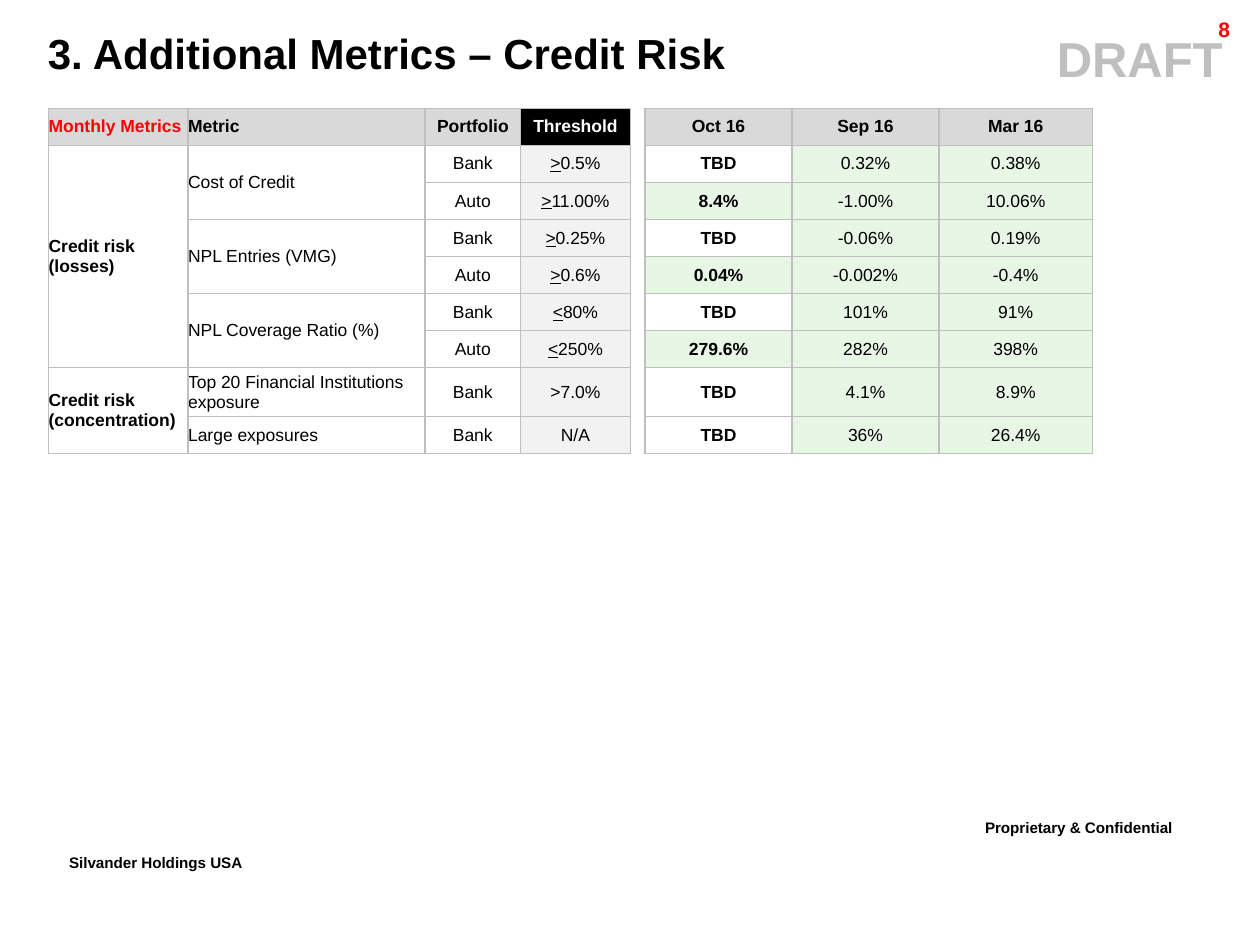
from dataclasses import dataclass, field
from itertools import product
from typing import Any

from lxml.etree import SubElement
from pptx import Presentation
from pptx.dml.color import RGBColor
from pptx.enum.text import MSO_ANCHOR, MSO_AUTO_SIZE, PP_ALIGN
from pptx.oxml.ns import qn
from pptx.util import Pt


@dataclass(frozen=True)
class Theme:
    font: str = "Arial"
    black: str = "000000"
    white: str = "FFFFFF"
    red: str = "FF0000"
    rule: str = "BFBFBF"
    header: str = "D9D9D9"
    threshold: str = "F2F2F2"
    within_limit: str = "E8F6E6"
    title_size: float = 24
    stamp_size: float = 28
    footer_size: float = 15
    number_size: float = 12
    table_size: float = 10
    rule_width: float = 1


THEME = Theme()


@dataclass(frozen=True)
class Label:
    text: str
    left: float
    top: float
    width: float
    height: float
    size: float
    color: str = THEME.black
    raised: bool = False
    indent: float = 0
    frame: dict[str, Any] = field(default_factory=dict)
    paragraph: dict[str, Any] = field(default_factory=dict)


@dataclass(frozen=True)
class Metric:
    """One table row; bound is the underlined sign before the limit."""
    portfolio: str
    bound: str
    limit: str
    results: tuple[str, str, str]


@dataclass(frozen=True)
class RowLabel:
    text: str
    column: int
    first_row: int
    row_count: int


NO_STYLE = "{2D5ABB26-0587-4C30-8999-92F81FD0307C}"
GAP_COLUMN = 4
COLUMN_WIDTHS = (79.7, 135.5, 54.4, 62.8, 8.4, 84, 84, 87.7)
ROW_HEIGHTS = (21.2,) * 7 + (28, 21.2)
HEADERS = ("Monthly Metrics", "Metric", "Portfolio", "Threshold", "",
           "Oct 16", "Sep 16", "Mar 16")

LABELS = (
    Label("Proprietary & Confidential", 555.8, 462.2, 157, 25.2, THEME.footer_size, raised=True),
    Label("Silvander Holdings USA", 32.4, 482.4, 137.5, 25.2, THEME.footer_size,
          raised=True, frame={"word_wrap": False}),
    Label("DRAFT", 82.8, 13, 632.9, 41, THEME.stamp_size, THEME.rule, indent=504,
          paragraph={"alignment": PP_ALIGN.CENTER}),
    Label("8", 641.5, 7.9, 68.4, 17.3, THEME.number_size, THEME.red,
          frame={"auto_size": MSO_AUTO_SIZE.NONE},
          paragraph={"alignment": PP_ALIGN.RIGHT, "line_spacing": 0.86}),
    Label("3. Additional Metrics – Credit Risk", 20.2, 12.2, 673.2, 36, THEME.title_size),
)

METRICS = (
    Metric("Bank", ">", "0.5%", ("TBD", "0.32%", "0.38%")),
    Metric("Auto", ">", "11.00%", ("8.4%", "-1.00%", "10.06%")),
    Metric("Bank", ">", "0.25%", ("TBD", "-0.06%", "0.19%")),
    Metric("Auto", ">", "0.6%", ("0.04%", "-0.002%", "-0.4%")),
    Metric("Bank", "<", "80%", ("TBD", "101%", "91%")),
    Metric("Auto", "<", "250%", ("279.6%", "282%", "398%")),
    Metric("Bank", "", ">7.0%", ("TBD", "4.1%", "8.9%")),
    Metric("Bank", "", "N/A", ("TBD", "36%", "26.4%")),
)

ROW_LABELS = (
    RowLabel("Credit risk (losses)", 0, 1, 6),
    RowLabel("Credit risk (concentration)", 0, 7, 2),
    RowLabel("Cost of Credit", 1, 1, 2),
    RowLabel("NPL Entries (VMG)", 1, 3, 2),
    RowLabel("NPL Coverage Ratio (%)", 1, 5, 2),
    RowLabel("Top 20 Financial Institutions exposure", 1, 7, 1),
    RowLabel("Large exposures", 1, 8, 1),
)


def set_values(target: Any, values: dict[str, Any]) -> None:
    for name, value in values.items():
        setattr(target, name, value)


def add_span(para: Any, text: str, size: float, color: str, **styles: Any) -> Any:
    span = para.add_run()
    span.text = text
    set_values(span.font, {"name": THEME.font, "size": Pt(size), **styles})
    span.font.color.rgb = RGBColor.from_string(color)
    return span


def add_label(page: Any, label: Label) -> None:
    box = page.shapes.add_textbox(Pt(label.left), Pt(label.top), Pt(label.width), Pt(label.height))
    set_values(box.text_frame, {"word_wrap": True, "auto_size": MSO_AUTO_SIZE.SHAPE_TO_FIT_TEXT,
                                **label.frame})
    para = box.text_frame.paragraphs[0]
    set_values(para, label.paragraph)
    if label.indent:
        para._p.get_or_add_pPr().set("marL", str(Pt(label.indent)))
    span = add_span(para, label.text, label.size, label.color, bold=True)
    if label.raised:
        span._r.get_or_add_rPr().set("baseline", "30000")


def prepare_cell(cell: Any, sides: str) -> None:
    """Clear margins, size the empty text and rule the given sides."""
    margins = dict.fromkeys(("margin_left", "margin_right", "margin_top", "margin_bottom"), 0)
    set_values(cell, {**margins, "vertical_anchor": MSO_ANCHOR.MIDDLE})
    end = cell.text_frame.paragraphs[0]._p.get_or_add_endParaRPr()
    end.set("sz", str(THEME.table_size * 100))
    for side in sides:
        line = SubElement(cell._tc.get_or_add_tcPr(), qn(f"a:ln{side}"),
                          w=str(Pt(THEME.rule_width)))
        fill = SubElement(line, qn("a:solidFill"))
        SubElement(fill, qn("a:srgbClr"), val=THEME.rule)


def write_cell(cell: Any, text: str, *, bound: str = "", fill: str = "",
               color: str = THEME.black, bold: bool = False, centered: bool = True) -> None:
    para = cell.text_frame.paragraphs[0]
    para.alignment = PP_ALIGN.CENTER if centered else PP_ALIGN.LEFT
    if bound:
        add_span(para, bound, THEME.table_size, color, bold=bold, underline=True)
    add_span(para, text, THEME.table_size, color, bold=bold)
    if fill:
        cell.fill.solid()
        cell.fill.fore_color.rgb = RGBColor.from_string(fill)


def add_metrics_table(page: Any) -> None:
    frame = page.shapes.add_table(len(ROW_HEIGHTS), len(COLUMN_WIDTHS), Pt(27.8), Pt(61.9),
                                  Pt(sum(COLUMN_WIDTHS)), Pt(sum(ROW_HEIGHTS)))
    table = frame.table
    set_values(table, {"first_row": False, "horz_banding": False})
    table._tbl.tblPr.find(qn("a:tableStyleId")).text = NO_STYLE
    for column, width in zip(table.columns, COLUMN_WIDTHS):
        column.width = Pt(width)
    for row, height in zip(table.rows, ROW_HEIGHTS):
        row.height = Pt(height)
    for row, column in product(range(len(ROW_HEIGHTS)), range(len(COLUMN_WIDTHS))):
        prepare_cell(table.cell(row, column), "LR" if column == GAP_COLUMN else "LRTB")

    header_colors = {0: THEME.red, 3: THEME.white}
    for column, text in enumerate(HEADERS):
        if text:
            write_cell(table.cell(0, column), text, bold=True, centered=column > 1,
                       color=header_colors.get(column, THEME.black),
                       fill=THEME.black if text == "Threshold" else THEME.header)
    for label in ROW_LABELS:
        cell = table.cell(label.first_row, label.column)
        if label.row_count > 1:
            cell.merge(table.cell(label.first_row + label.row_count - 1, label.column))
        write_cell(cell, label.text, bold=label.column == 0, centered=False)
    for row, metric in enumerate(METRICS, 1):
        write_cell(table.cell(row, 2), metric.portfolio)
        write_cell(table.cell(row, 3), metric.limit, bound=metric.bound, fill=THEME.threshold)
        for column, result in enumerate(metric.results, GAP_COLUMN + 1):
            write_cell(table.cell(row, column), result, bold=column == GAP_COLUMN + 1,
                       fill="" if result == "TBD" else THEME.within_limit)


def main() -> None:
    deck = Presentation()
    set_values(deck, {"slide_width": Pt(720), "slide_height": Pt(540)})
    page = deck.slides.add_slide(deck.slide_layouts[6])
    for label in LABELS:
        add_label(page, label)
    add_metrics_table(page)
    deck.save("out.pptx")


if __name__ == "__main__":
    main()
